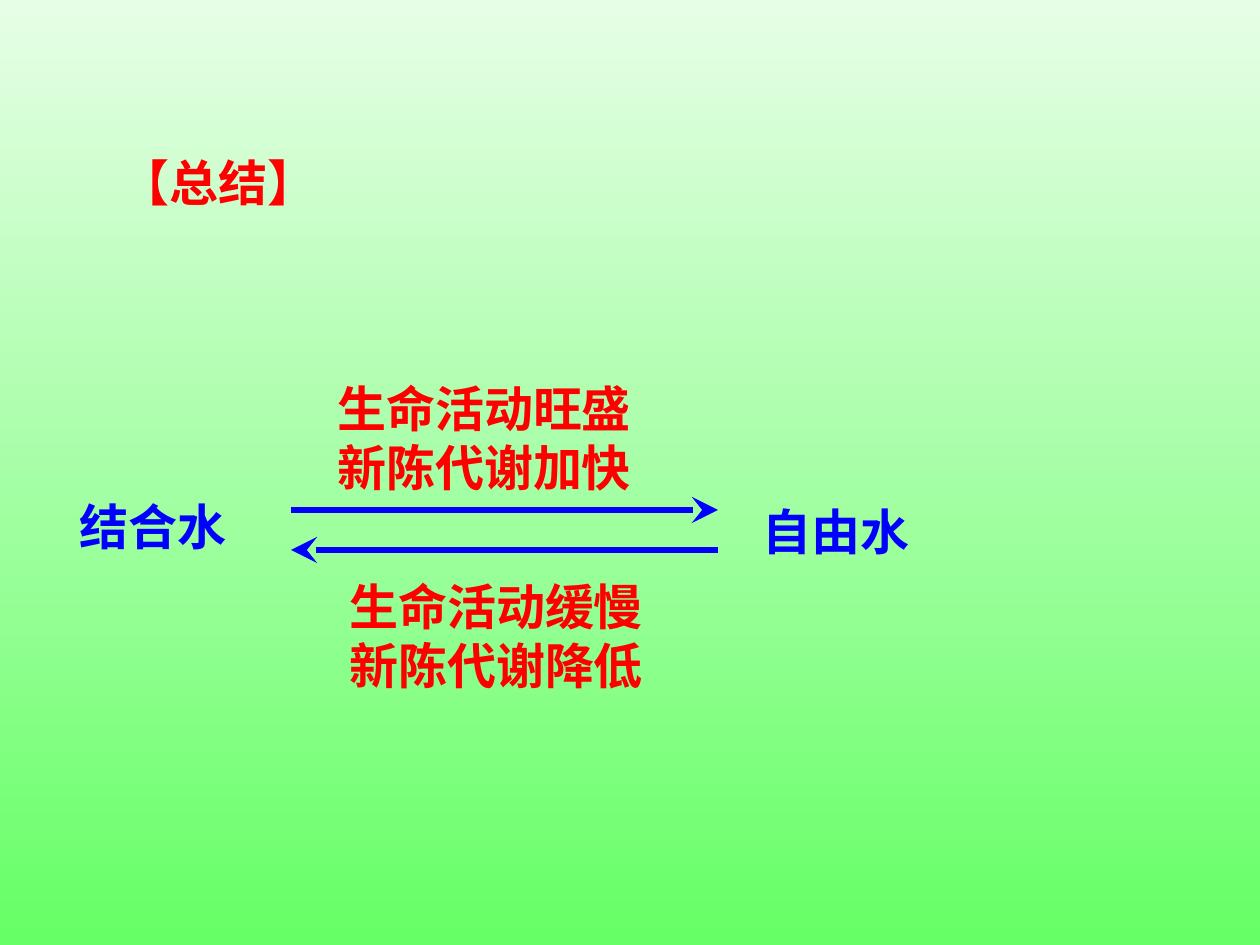
from lxml.etree import SubElement
from pptx import Presentation
from pptx.dml.color import RGBColor
from pptx.enum.shapes import MSO_CONNECTOR
from pptx.enum.text import MSO_AUTO_SIZE
from pptx.oxml.ns import qn
from pptx.util import Pt

EMU_PER_PX = 914400 // 126
RED = "FF0000"
BLUE = "0000FF"


def px(length):
    return length * EMU_PER_PX


def color(hex_string):
    return RGBColor.from_string(hex_string)


def write_text(shape, text, font="Arial", size=28, fill=RED, bold=True):
    """Write each line of text as one formatted paragraph."""
    frame = shape.text_frame
    frame.text = text
    for paragraph in frame.paragraphs:
        for run in paragraph.runs:
            run.font.name = font
            run.font.size = Pt(size)
            run.font.bold = bold
            run.font.color.rgb = color(fill)


class SlideBuilder:
    def __init__(self, slide, line_width=3):
        self.slide = slide
        self.line_width = line_width

    def background(self, top, bottom):
        fill = self.slide.background.fill
        fill.gradient()
        fill.gradient_angle = 270
        for stop, hex_string, position in zip(fill.gradient_stops, (top, bottom), (0, 1)):
            stop.color.rgb = color(hex_string)
            stop.position = position

    def label(self, text, left, top, width, height, **text_format):
        shape = self.slide.shapes.add_textbox(px(left), px(top), px(width), px(height))
        shape.text_frame.word_wrap = True
        shape.text_frame.auto_size = MSO_AUTO_SIZE.SHAPE_TO_FIT_TEXT
        write_text(shape, text, **text_format)

    def arrow(self, start, end, y, line_color=BLUE):
        connector = self.slide.shapes.add_connector(
            MSO_CONNECTOR.STRAIGHT, px(start), px(y), px(end), px(y))
        connector.line.color.rgb = color(line_color)
        connector.line.width = Pt(self.line_width)
        SubElement(connector.line._get_or_add_ln(), qn("a:tailEnd"),
                   type="stealth", w="lg", len="lg")
        SubElement(connector._element.spPr, qn("a:effectLst"))


def main():
    presentation = Presentation()
    presentation.slide_width = px(1260)
    presentation.slide_height = px(945)
    slide = presentation.slides.add_slide(presentation.slide_layouts[6])
    builder = SlideBuilder(slide)
    builder.background("E6FEE6", "66FF66")

    builder.label("结合水", 67, 490, 179, 72, fill=BLUE)
    builder.label("自由水", 750, 495, 197, 72, fill=BLUE)

    left_end, right_end = 291, 718
    builder.arrow(left_end, right_end, 510)
    builder.arrow(right_end, left_end, 550)

    builder.label("生命活动旺盛\n新陈代谢加快", 325, 372, 485, 131)
    builder.label("生命活动缓慢\n新陈代谢降低", 337, 570, 485, 131)
    builder.label("【总结】", 108, 146, 315, 72)

    presentation.save("out.pptx")


if __name__ == "__main__":
    main()
